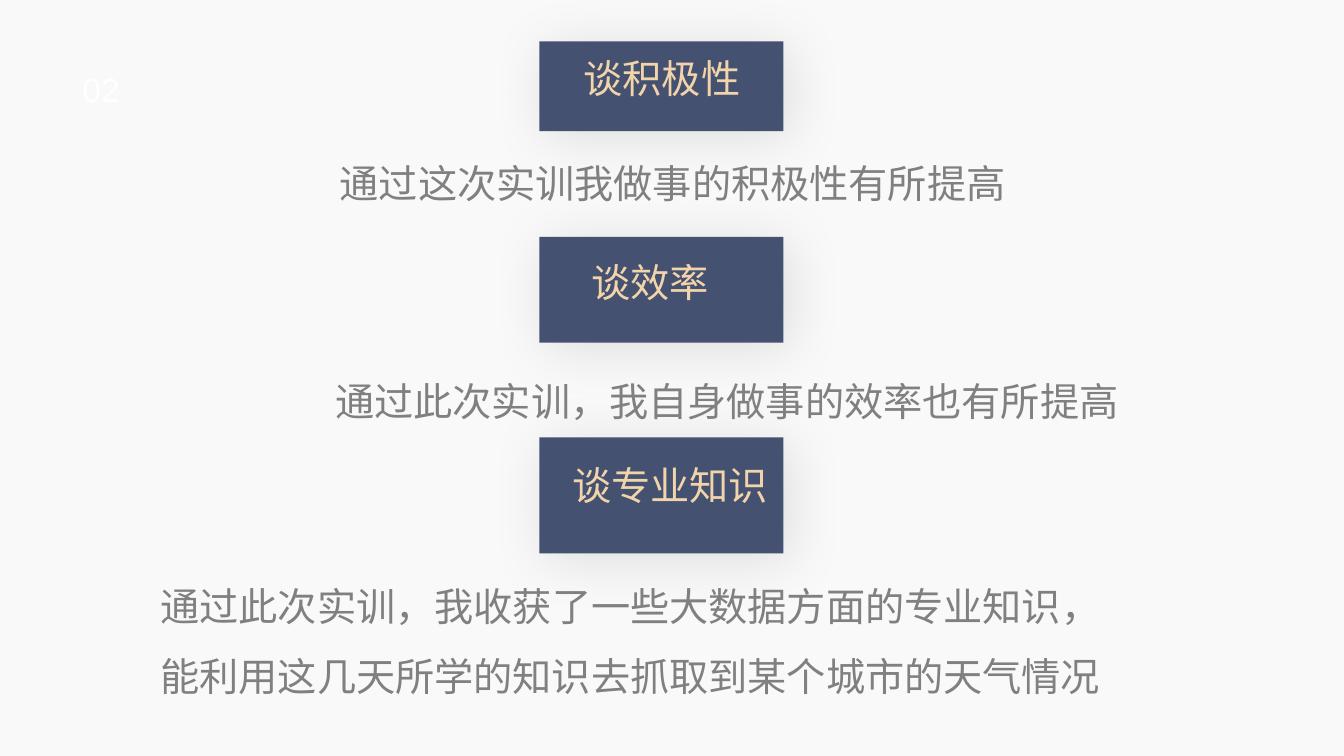
from dataclasses import dataclass

from lxml import etree
from pptx import Presentation
from pptx.dml.color import RGBColor
from pptx.enum import shapes, text
from pptx.oxml import ns
from pptx.util import Inches, Pt

NAVY, GOLD, GREY, WHITE, PAPER = "455171", "F2D4AA", "808080", "FFFFFF", "F9F9F9"
CENTER, RIGHT, LEFT = text.PP_ALIGN.CENTER, text.PP_ALIGN.RIGHT, text.PP_ALIGN.LEFT
Box = tuple[float, float, float, float]


@dataclass
class Topic:
    heading: str
    heading_box: Box
    panel_top: float
    panel_height: float
    body: str
    body_box: Box
    grow: bool = False


TOPICS = [
    Topic("谈积极性", (5.54, 0.49, 2.05, 0.74), 0.41, 0.89,
          "通过这次实训我做事的积极性有所提高", (3.07, 1.3, 7, 0.88)),
    Topic("谈效率", (5.54, 2.51, 1.82, 0.73), 2.35, 1.05,
          "通过此次实训，我自身做事的效率也有所提高", (0.95, 3.46, 10.24, 0.88)),
    Topic("谈专业知识", (5.35, 4.53, 2.59, 0.77), 4.34, 1.15,
          "通过此次实训，我收获了一些大数据方面的专业知识，能利用这几天所学的知识去抓取到某个城市的天气情况",
          (1.35, 5.49, 9.66, 1.51), grow=True),
]


def rgb(color: str) -> RGBColor:
    return RGBColor.from_string(color)


def add_soft_shadow(sp) -> None:
    sp.shadow.inherit = False
    effects = sp._element.spPr.find(ns.qn("a:effectLst"))
    shadow = etree.SubElement(effects, ns.qn("a:outerShdw"), blurRad=str(Pt(40)),
                              dist=str(Pt(6)), dir=str(45 * 60000), algn="ctr",
                              rotWithShape="0")
    color = etree.SubElement(shadow, ns.qn("a:srgbClr"), val="000000")
    etree.SubElement(color, ns.qn("a:alpha"), val="11000")


def add_panel(s, top: float, height: float) -> None:
    sp = s.shapes.add_shape(shapes.MSO_SHAPE.RECTANGLE, Inches(5.35), Inches(top),
                            Inches(2.42), Inches(height))
    sp.fill.solid()
    sp.fill.fore_color.rgb = rgb(NAVY)
    sp.line.fill.background()
    add_soft_shadow(sp)


def add_text(s, words: str, box: Box, color: str, align, size: float = 28,
             spacing: float | None = None, grow: bool = False) -> None:
    tf = s.shapes.add_textbox(*map(Inches, box)).text_frame
    tf.word_wrap = True
    if grow:
        tf.auto_size = text.MSO_AUTO_SIZE.SHAPE_TO_FIT_TEXT
    p = tf.paragraphs[0]
    for name, value in {"alignment": align, "line_spacing": spacing}.items():
        setattr(p, name, value)
    r = p.add_run()
    r.text = words
    for name, value in {"name": "Arial", "size": Pt(size)}.items():
        setattr(r.font, name, value)
    r.font.color.rgb = rgb(color)


def main() -> None:
    prs = Presentation()
    prs.slide_width, prs.slide_height = Inches(13.33), Inches(7.5)
    s = prs.slides.add_slide(prs.slide_layouts[6])
    s.background.fill.solid()
    s.background.fill.fore_color.rgb = rgb(PAPER)

    add_text(s, "02", (0.72, 0.63, 0.8, 0.5), WHITE, LEFT, size=24)
    for topic in TOPICS:
        add_panel(s, topic.panel_top, topic.panel_height)
    for topic in TOPICS:
        add_text(s, topic.heading, topic.heading_box, GOLD, CENTER)
        add_text(s, topic.body, topic.body_box, GREY, RIGHT, spacing=1.5, grow=topic.grow)
    prs.save("out.pptx")


if __name__ == "__main__":
    main()
